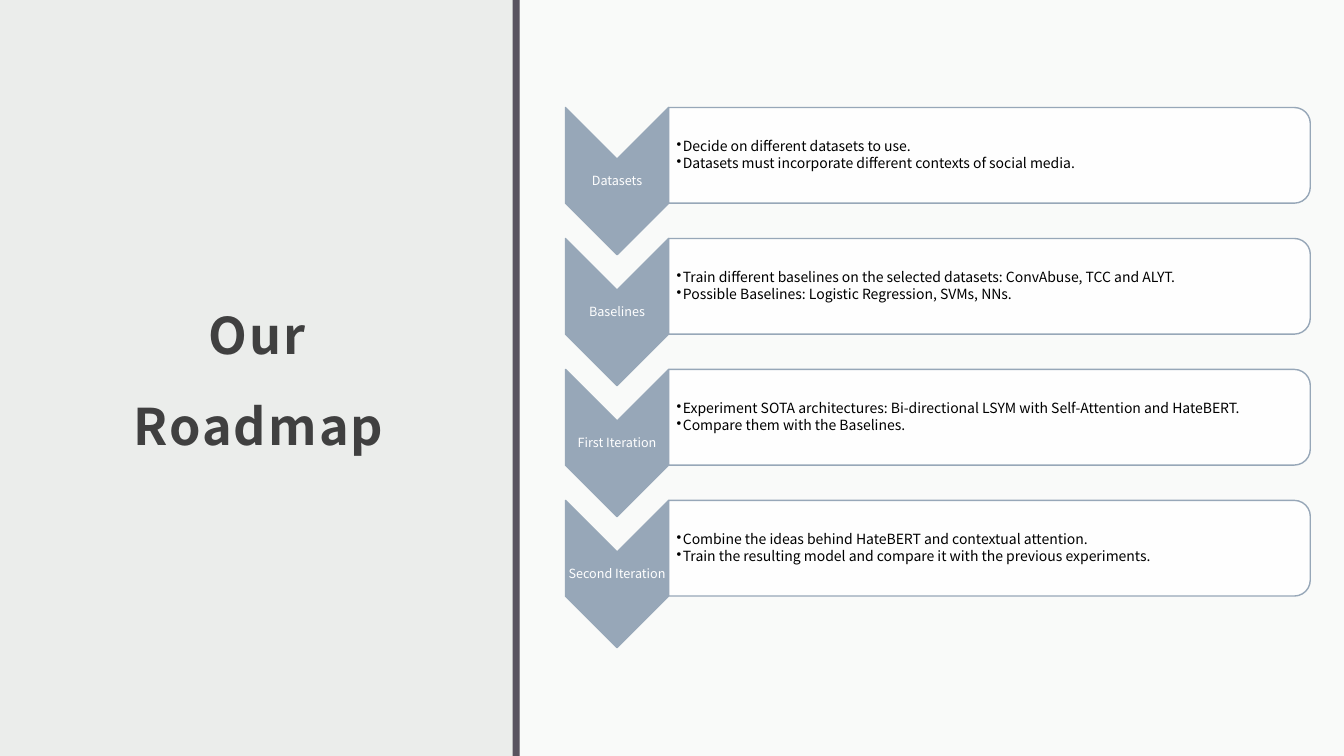
from lxml.etree import SubElement
from pptx import Presentation
from pptx.dml.color import RGBColor
from pptx.enum.shapes import MSO_SHAPE
from pptx.enum.text import MSO_ANCHOR, PP_ALIGN
from pptx.oxml.ns import qn
from pptx.util import Cm, Pt

FONT = "Noto Sans CJK JP"
PAPER = RGBColor(0xEB, 0xED, 0xEB)
WHITE = RGBColor(0xFF, 0xFF, 0xFF)
BLACK = RGBColor(0x00, 0x00, 0x00)
PLUM = RGBColor(0x59, 0x54, 0x60)
STEEL = RGBColor(0x97, 0xA7, 0xB8)
CHARCOAL = RGBColor(0x40, 0x40, 0x40)

STEPS = [
    ("Datasets", [
        "Decide on different datasets to use.",
        "Datasets must incorporate different contexts of social media."]),
    ("Baselines", [
        "Train different baselines on the selected datasets: ConvAbuse, TCC and ALYT.",
        "Possible Baselines: Logistic Regression, SVMs, NNs."]),
    ("First Iteration", [
        "Experiment SOTA architectures: Bi-directional LSYM with Self-Attention and HateBERT.",
        "Compare them with the Baselines."]),
    ("Second Iteration", [
        "Combine the ideas behind HateBERT and contextual attention.",
        "Train the resulting model and compare it with the previous experiments."]),
]


def add_block(slide, kind, x, y, w, h, fill, line=None, alpha=100, turned=False):
    """Add a filled shape covering the box in cm, optionally turned by 90 degrees."""
    if turned:
        x, y, w, h = x + (w - h) / 2, y + (h - w) / 2, h, w
    sp = slide.shapes.add_shape(kind, Cm(x), Cm(y), Cm(w), Cm(h))
    sp.rotation = 90 if turned else 0
    sp.shadow.inherit = False
    sp.fill.solid()
    sp.fill.fore_color.rgb = fill
    if alpha < 100:
        color = sp.fill._xPr.find(qn("a:solidFill"))[0]
        SubElement(color, qn("a:alpha"), val=str(alpha * 1000))
    if line is None:
        sp.line.fill.background()
    else:
        sp.line.color.rgb = line
        sp.line.width = Pt(1)


def add_text(slide, x, y, w, h, lines, size, color, spacing, after=0,
             align=PP_ALIGN.LEFT, insets=(0.03, 0.03, 0.03, 0.03)):
    """Add vertically centred paragraphs in the box in cm and return them."""
    tf = slide.shapes.add_textbox(Cm(x), Cm(y), Cm(w), Cm(h)).text_frame
    tf.word_wrap = True
    tf.vertical_anchor = MSO_ANCHOR.MIDDLE
    tf.margin_left, tf.margin_top, tf.margin_right, tf.margin_bottom = map(Cm, insets)
    for i, line in enumerate(lines):
        p = tf.add_paragraph() if i else tf.paragraphs[0]
        p.text = line
        p.alignment = align
        p.line_spacing = spacing
        p.space_after = Pt(after)
        p.font.name, p.font.size = FONT, Pt(size)
        p.font.color.rgb = color
    return tf.paragraphs


def add_bullet(p):
    """Give the paragraph a hanging round bullet."""
    pPr = p._p.get_or_add_pPr()
    pPr.set("marL", str(Cm(0.16)))
    pPr.set("indent", str(-Cm(0.16)))
    bullet = pPr.makeelement(qn("a:buChar"), {"char": "•"})
    pPr.insert_element_before(bullet, "a:tabLst", "a:defRPr", "a:extLst")


def add_title_panel(slide, x, y, w, h):
    """Place the slide title inside the left panel."""
    p, = add_text(slide, x + 1.78, y + 1.96, w - 3.45, h - 4.62, ["Our Roadmap"], 36,
                  CHARCOAL, 1.5, align=PP_ALIGN.CENTER, insets=(0.3, 0.3, 0.3, 0.25))
    p.font.bold = True
    p.runs[0]._r.get_or_add_rPr().set("spc", "150")


def add_content_panel(slide, x, y, w, h):
    """Draw the pale right panel and the divider along its left edge."""
    add_block(slide, MSO_SHAPE.RECTANGLE, x, y, w, h, WHITE, alpha=75)
    add_block(slide, MSO_SHAPE.RECTANGLE, x - 0.18, y, 0.18, h, PLUM)


def add_step(slide, x, y, w, label, points):
    """Draw one roadmap step: a labelled chevron and its bulleted bar."""
    arrow_w, arrow_h, bar_h = 2.6, 3.71, 2.41
    bar_x, bar_w = x + arrow_w, w - arrow_w
    add_block(slide, MSO_SHAPE.CHEVRON, x, y, arrow_w, arrow_h, STEEL, STEEL, turned=True)
    add_text(slide, x, y + arrow_w / 2, arrow_w, arrow_h - arrow_w, [label], 9, WHITE,
             0.9, align=PP_ALIGN.CENTER)
    add_block(slide, MSO_SHAPE.ROUND_2_SAME_RECTANGLE, bar_x, y, bar_w, bar_h,
              WHITE, STEEL, alpha=90, turned=True)
    for p in add_text(slide, bar_x, y + 0.11, bar_w - 0.11, bar_h - 0.22, points, 10,
                      BLACK, 0.9, after=1.5, insets=(0.2, 0.03, 0.03, 0.03)):
        add_bullet(p)


def main():
    """Build the roadmap slide and save it."""
    prs = Presentation()
    prs.slide_width, prs.slide_height = Cm(33.87), Cm(19.05)
    s = prs.slides.add_slide(prs.slide_layouts[6])
    s.background.fill.solid()
    s.background.fill.fore_color.rgb = PAPER
    add_content_panel(s, 13.1, 0, 20.77, 19.05)
    add_title_panel(s, 0, 0, 12.92, 19.05)
    for i, (label, points) in enumerate(STEPS):
        add_step(s, 14.25, 2.71 + i * 3.3, 18.77, label, points)
    prs.save("out.pptx")


if __name__ == "__main__":
    main()
